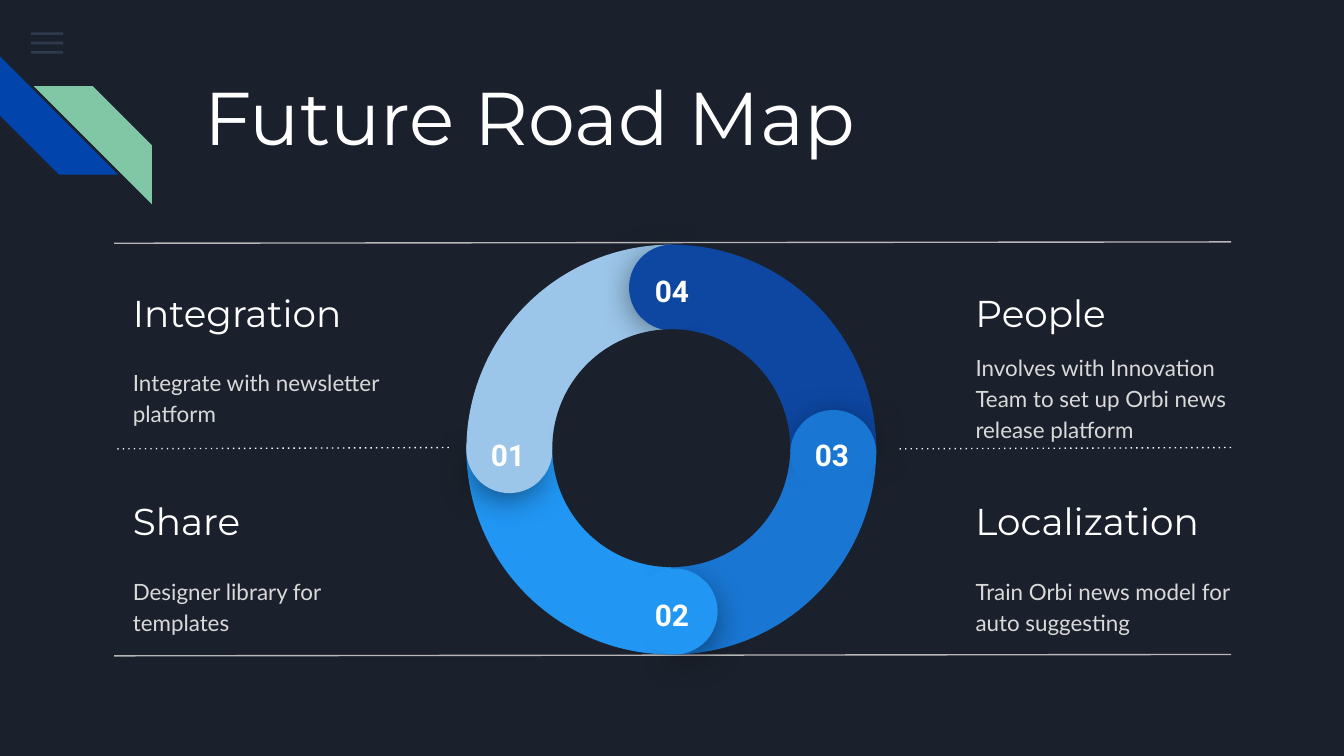
from lxml import etree
from pptx import Presentation
from pptx import util as u
from pptx.dml.color import RGBColor
from pptx.enum import dml, shapes, text
from pptx.oxml import ns

NIGHT = RGBColor(0x1B, 0x21, 0x2C)
SLATE = RGBColor(0x55, 0x68, 0x8B)
ROYAL = RGBColor(0x01, 0x45, 0xAC)
MINT = RGBColor(0x82, 0xC7, 0xA5)
WHITE = RGBColor(0xFF, 0xFF, 0xFF)
PALE = RGBColor(0xD9, 0xD9, 0xD9)
GRAY = RGBColor(0xB7, 0xB7, 0xB7)
SKY = RGBColor(0x9B, 0xC5, 0xE9)
NAVY = RGBColor(0x0D, 0x47, 0xA1)
BLUE = RGBColor(0x19, 0x76, 0xD2)
AZURE = RGBColor(0x21, 0x96, 0xF3)
KIND = shapes.MSO_SHAPE

deck = Presentation()
deck.slide_width = u.Inches(10)
deck.slide_height = u.Inches(10 * 9 / 16)
slide = deck.slides.add_slide(deck.slide_layouts[6])
slide.background.fill.solid()
slide.background.fill.fore_color.rgb = NIGHT


def draw(kind, left, top, wide, high, color, turn=0, angles=()):
    shape = slide.shapes.add_shape(kind, *map(u.Inches, (left, top, wide, high)))
    shape.shadow.inherit = False
    shape.fill.solid()
    shape.fill.fore_color.rgb = color
    shape.line.fill.background()
    shape.rotation = turn
    for i, angle in enumerate(angles):
        shape.adjustments[i] = angle
    return shape


def write(words, left, top, wide, high, size, face, color, middle=False):
    box = slide.shapes.add_textbox(*map(u.Inches, (left, top, wide, high)))
    frame = box.text_frame
    frame.word_wrap = True
    frame.margin_left = frame.margin_right = u.Inches(0.1)
    frame.margin_top = frame.margin_bottom = u.Inches(0.1)
    frame.vertical_anchor = text.MSO_ANCHOR.MIDDLE if middle else text.MSO_ANCHOR.TOP
    para = frame.paragraphs[0]
    para.text = words
    para.font.size = u.Pt(size)
    para.font.name = face
    para.font.color.rgb = color
    return para


for row in range(3):
    bar = draw(KIND.RECTANGLE, 0.23, 0.24 + 0.07 * row, 0.24, 0.02, SLATE)
    tint = bar.fill._xPr.find(".//" + ns.qn("a:srgbClr"))
    etree.SubElement(tint, ns.qn("a:alpha"), val="36000")

draw(KIND.DIAGONAL_STRIPE, 0, 0.42, 0.88, 0.88, ROYAL, 270)
stripe = draw(KIND.DIAGONAL_STRIPE, 0.25, 0.64, 0.88, 0.88, MINT)
stripe._element.spPr.find(ns.qn("a:xfrm")).set("flipH", "1")

write("Future Road Map", 1.42, 0.43, 7.7, 1, 40, "Montserrat", WHITE)

topics = [
    ("Integration", "Integrate with newsletter platform"),
    ("Share", "Designer library for templates"),
    ("People", "Involves with Innovation Team to set up Orbi news release platform"),
    ("Localization", "Train Orbi news model for auto suggesting"),
]
for i, (head, body) in enumerate(topics):
    left, top = 0.89 + 6.27 * (i // 2), 2.08 + 1.55 * (i % 2)
    write(head, left, top, 2.03, 0.49, 20, "Montserrat", WHITE, True)
    para = write(body, left, top + 0.49, 2.18, 0.76, 12, "Lato", PALE, True)
    para.line_spacing = 1.15
    para.space_after = u.Pt(16)

rules = [
    (9.16, 0.85, 1.8, GRAY, False),
    (3.34, 0.85, 3.33, WHITE, True),
    (9.16, 6.67, 3.33, WHITE, True),
    (9.16, 0.85, 4.87, GRAY, False),
]
for start, end, top, color, dots in rules:
    rule = slide.shapes.add_connector(
        shapes.MSO_CONNECTOR.STRAIGHT,
        *map(u.Inches, (start, top, end, top + 0.01)))
    rule.line.color.rgb = color
    rule.line.width = u.Pt(0.75)
    if dots:
        rule.line.dash_style = dml.MSO_LINE.ROUND_DOT
        rule._element.spPr.find(".//" + ns.qn("a:prstDash")).set("val", "dot")
    etree.SubElement(rule._element.spPr, ns.qn("a:effectLst"))

for i, color in enumerate((SKY, NAVY, BLUE, AZURE)):
    draw(KIND.PIE, 3.47, 1.82, 3.05, 3.05, color, 90 * i, (107.96, 162.01))

HALF = (189.54, 83.81)
caps = [
    ("01", SKY, (3.48, 3.07), (3.47, 3.03), (3.5, 3.15), HALF),
    ("02", AZURE, (4.74, 4.28), (4.7, 4.23), (4.72, 4.34), HALF),
    ("03", BLUE, (5.93, 3.07), (5.88, 3.05), (5.91, 3.15), (196.87, 77.71)),
    ("04", NAVY, (4.7, 1.83), (4.68, 1.82), (4.72, 1.93), HALF),
]
for i, (label, color, edge, disc, spot, arc) in enumerate(caps):
    cap = draw(KIND.PIE, *edge, 0.57, 0.57, color, (39.5 - 90 * i) % 360, arc)
    glow = etree.SubElement(
        cap._element.spPr.find(ns.qn("a:effectLst")), ns.qn("a:outerShdw"),
        blurRad=str(u.Pt(18)), dist=str(u.Pt(4)), dir="5400000",
        algn="bl", rotWithShape="0")
    shade = etree.SubElement(glow, ns.qn("a:srgbClr"), val="000000")
    etree.SubElement(shade, ns.qn("a:alpha"), val="55000")
    draw(KIND.CHORD, *disc, 0.64, 0.64, color, (4.1 - 90 * i) % 360, (25.01, 18.12))
    para = write(label, *spot, 0.56, 0.29, 16, "Roboto", WHITE)
    para.alignment = text.PP_ALIGN.CENTER
    para.font.bold = True

draw(KIND.OVAL, 4.11, 2.45, 1.77, 1.77, NIGHT)

deck.save("out.pptx")
